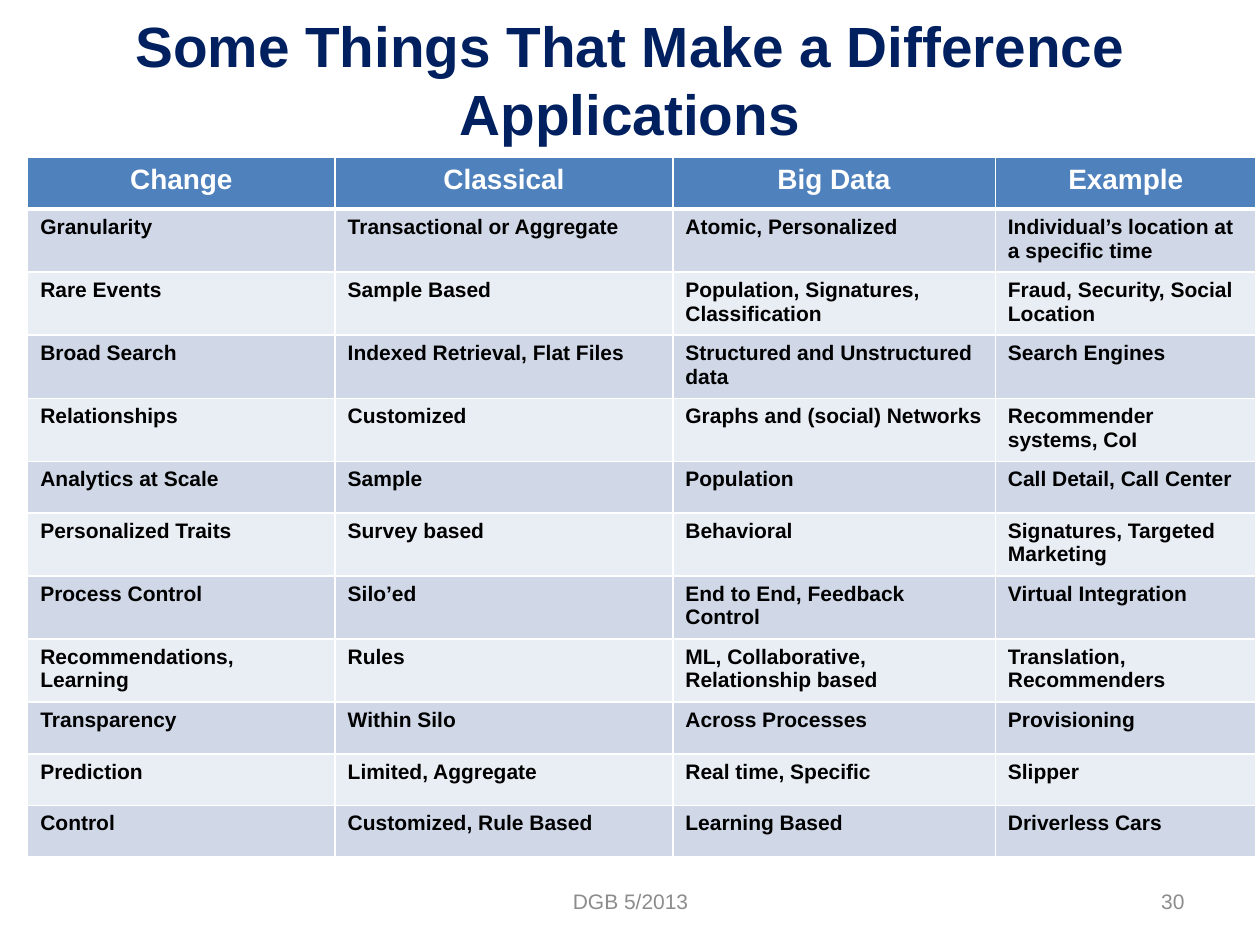
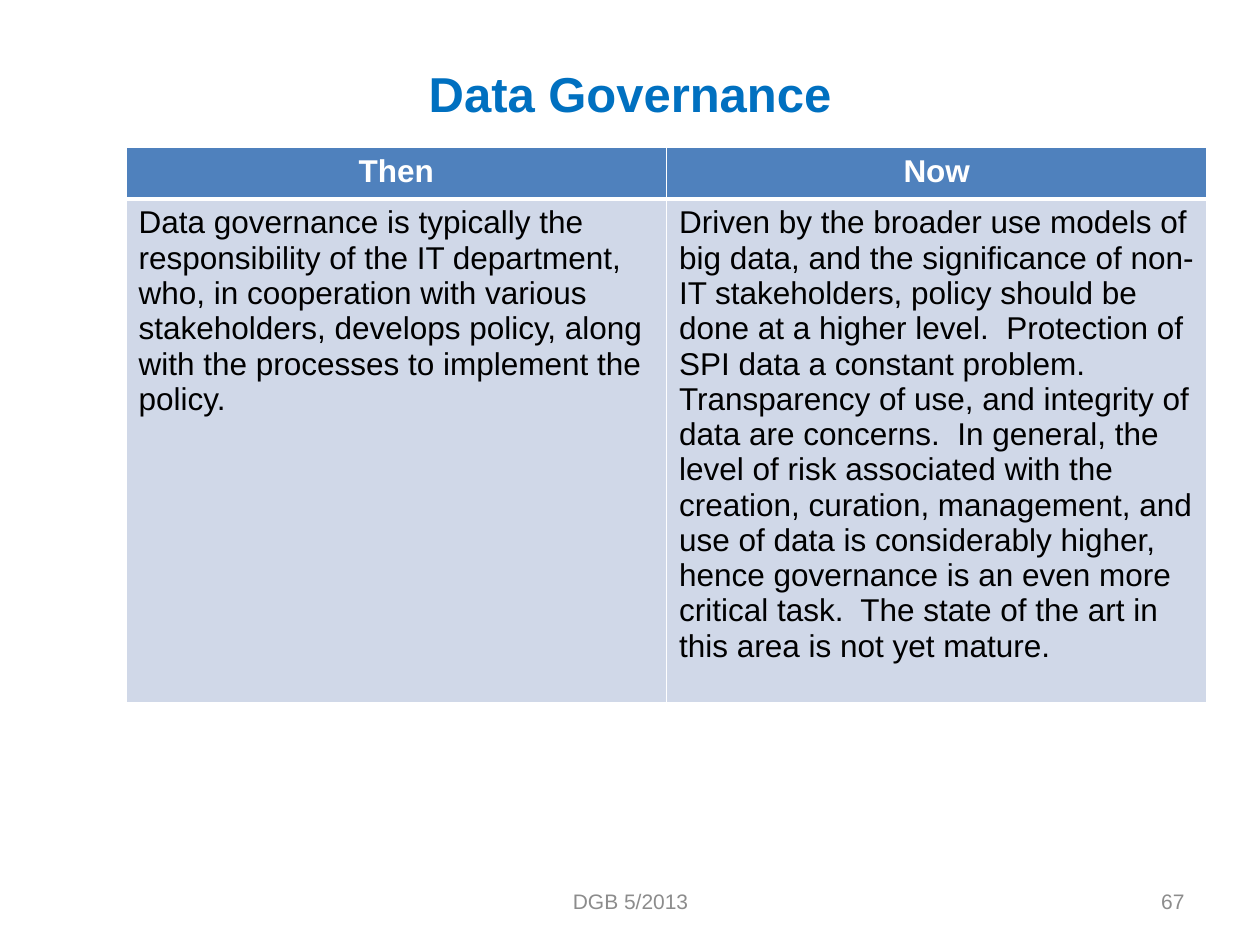
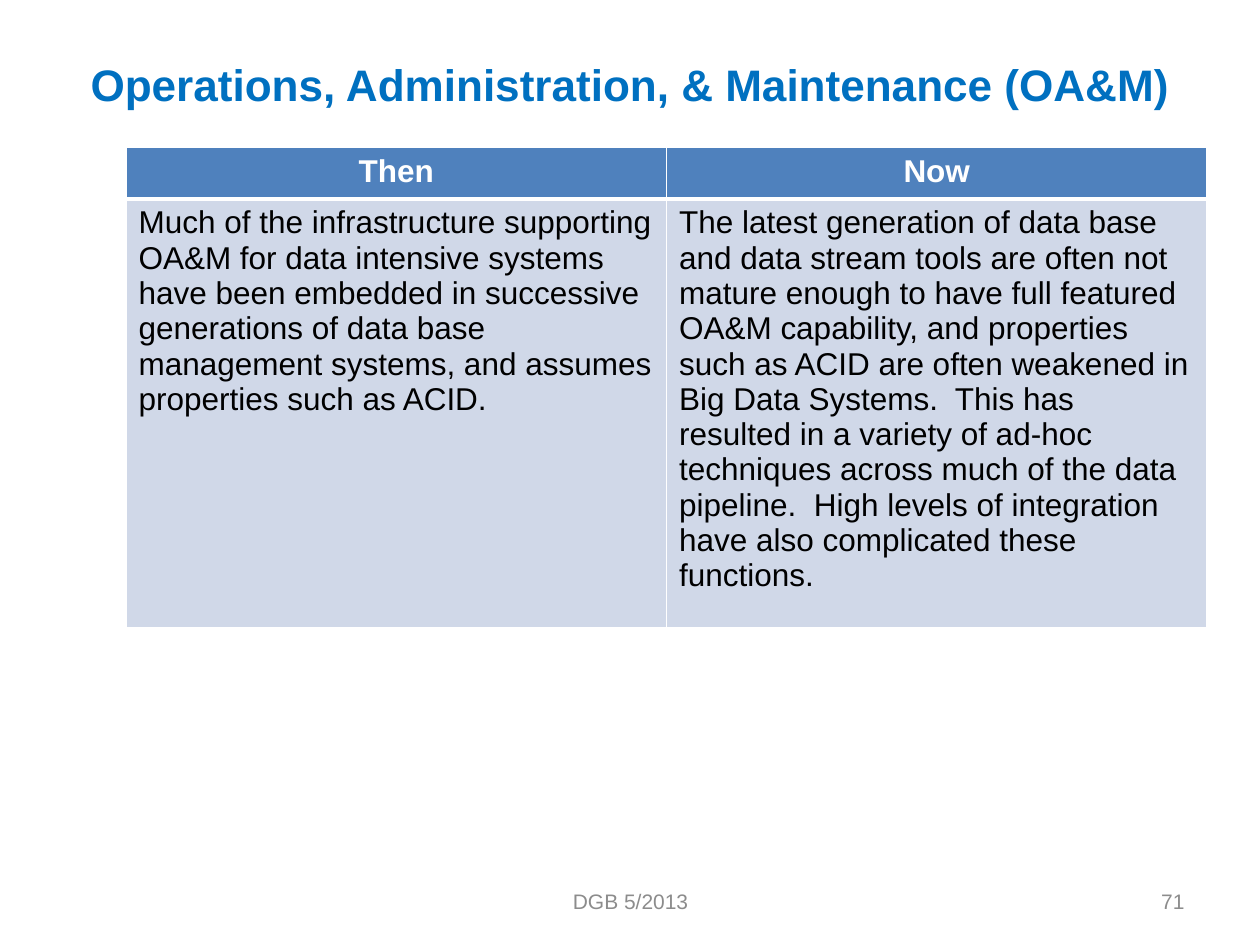
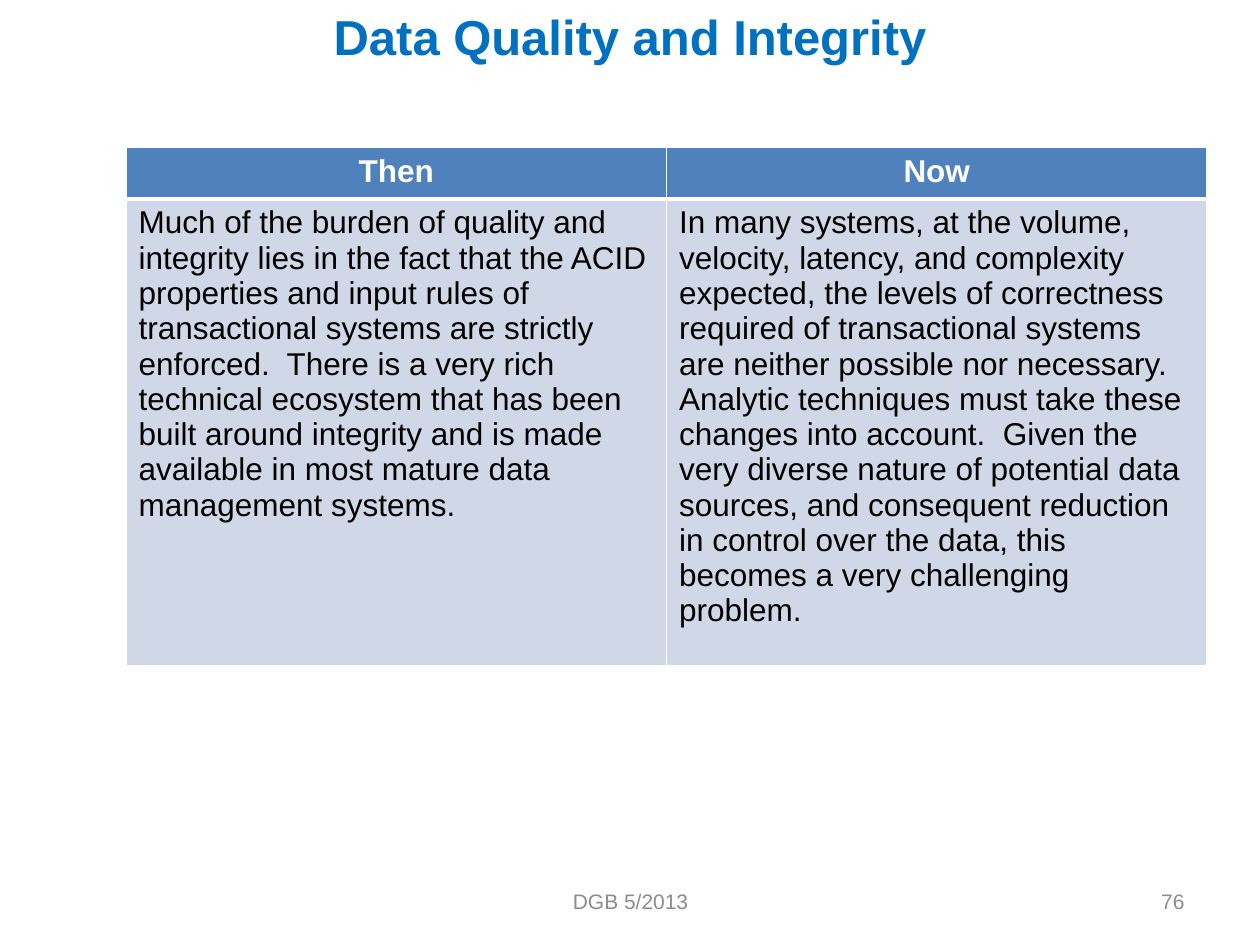
from lxml.etree import SubElement
from pptx import Presentation
from pptx.dml.color import RGBColor
from pptx.enum.text import MSO_ANCHOR, MSO_AUTO_SIZE, PP_ALIGN
from pptx.oxml.ns import qn
from pptx.util import Inches, Pt

FONT = "Arial"
COLORS = {
    "navy": "002060",
    "blue": "0070C0",
    "header": "4F81BD",
    "band_dark": "D0D8E8",
    "band_light": "E9EDF4",
    "white": "FFFFFF",
    "black": "000000",
    "footer": "8C8C8C",
}
FOOTER = "DGB 5/2013"

APPLICATIONS = [
    ("Change", "Classical", "Big Data", "Example"),
    ("Granularity", "Transactional or Aggregate", "Atomic, Personalized",
     "Individual’s location at a specific time"),
    ("Rare Events", "Sample Based", "Population, Signatures, Classification",
     "Fraud, Security, Social Location"),
    ("Broad Search", "Indexed Retrieval, Flat Files", "Structured and Unstructured data",
     "Search Engines"),
    ("Relationships", "Customized", "Graphs and (social) Networks",
     "Recommender systems, CoI"),
    ("Analytics at Scale", "Sample", "Population", "Call Detail, Call Center"),
    ("Personalized Traits", "Survey based", "Behavioral", "Signatures, Targeted Marketing"),
    ("Process Control", "Silo’ed", "End to End, Feedback Control", "Virtual Integration"),
    ("Recommendations, Learning", "Rules", "ML, Collaborative, Relationship based",
     "Translation, Recommenders"),
    ("Transparency", "Within Silo", "Across Processes", "Provisioning"),
    ("Prediction", "Limited, Aggregate", "Real time, Specific", "Slipper"),
    ("Control", "Customized, Rule Based", "Learning Based", "Driverless Cars"),
]

COMPARISONS = [
    {
        "title": "Data Governance", "size": 28, "lines_above": 1, "number": 67, "height": 4.41,
        "then": "Data governance is typically the responsibility of the IT department, who, in "
                "cooperation with various stakeholders, develops policy, along with the processes "
                "to implement the policy.",
        "now": "Driven by the broader use models of big data, and the significance of non-IT "
               "stakeholders, policy should be done at a higher level.  Protection of SPI data a "
               "constant problem.  Transparency of use, and integrity of data are concerns.  In "
               "general, the level of risk associated with the creation, curation, management, and "
               "use of data is considerably higher, hence governance is an even more critical "
               "task.  The state of the art in this area is not yet mature.",
    },
    {
        "title": "Operations, Administration, & Maintenance (OA&M)", "size": 25.2,
        "lines_above": 1, "number": 71, "height": 3.81,
        "then": "Much of the infrastructure supporting OA&M for data intensive systems have been "
                "embedded in successive generations of data base management systems, and assumes "
                "properties such as ACID.",
        "now": "The latest generation of data base and data stream tools are often not mature "
               "enough to have full featured OA&M capability, and properties such as ACID are often "
               "weakened in Big Data Systems.  This has resulted in a variety of ad-hoc techniques "
               "across much of the data pipeline.  High levels of integration have also complicated "
               "these functions.",
    },
    {
        "title": "Data Quality and Integrity", "size": 28, "lines_above": 0, "number": 76,
        "height": 4.11,
        "then": "Much of the burden of quality and integrity lies in the fact that the ACID "
                "properties and input rules of transactional systems are strictly enforced.  There "
                "is a very rich technical ecosystem that has been built around integrity and is "
                "made available in most mature data management systems.",
        "now": "In many systems, at the volume, velocity, latency, and complexity expected, the "
               "levels of correctness required of transactional systems are neither possible nor "
               "necessary.  Analytic techniques must take these changes into account.  Given the "
               "very diverse nature of potential data sources, and consequent reduction in control "
               "over the data, this becomes a very challenging problem.",
    },
]

ROW_HEIGHT = 0.41
LINE_HEIGHT = 1.17


def color(name):
    return RGBColor.from_string(COLORS[name])


def write(tf, text, size, color_name, bold=False, align=PP_ALIGN.LEFT):
    tf.text = text
    tf.word_wrap = True
    for p in tf.paragraphs:
        p.alignment = align
        for r in p.runs:
            r.font.name = FONT
            r.font.size = Pt(size)
            r.font.bold = bold
            r.font.color.rgb = color(color_name)


def add_label(s, left, width, text, align):
    tf = s.shapes.add_textbox(Inches(left), Inches(6.95), Inches(width), Inches(0.4)).text_frame
    write(tf, text, 12, "footer", align=align)
    tf.vertical_anchor = MSO_ANCHOR.MIDDLE


def add_slide(prs, title, size, color_name, number, anchor, lines_above=0):
    s = prs.slides.add_slide(prs.slide_layouts[5])
    sp = s.shapes.title
    sp.left, sp.top, sp.width, sp.height = Inches(0.5), 0, Inches(9), Inches(1.25)
    tf = sp.text_frame
    write(tf, title, size, color_name, True, PP_ALIGN.CENTER)
    tf.auto_size = MSO_AUTO_SIZE.NONE
    tf.vertical_anchor = anchor
    tf.margin_top = Inches(0.05) + Pt(lines_above * size * LINE_HEIGHT)
    add_label(s, 3.42, 3.17, FOOTER, PP_ALIGN.CENTER)
    add_label(s, 7.17, 2.33, str(number), PP_ALIGN.RIGHT)
    return s


def set_borders(cell, **widths):
    tcPr = cell._tc.get_or_add_tcPr()
    for side in "LRTB":
        ln = SubElement(tcPr, qn(f"a:ln{side}"), w=str(Pt(widths.get(side, 1))))
        fill = SubElement(ln, qn("a:solidFill"))
        SubElement(fill, qn("a:srgbClr"), val=COLORS["white"])


def add_grid(s, left, top, col_widths, row_heights, rows, header_size, body_size, body_bold):
    frame = s.shapes.add_table(len(rows), len(col_widths), Inches(left), Inches(top),
                               Inches(sum(col_widths)), Inches(sum(row_heights)))
    table = frame.table
    for column, width in zip(table.columns, col_widths):
        column.width = Inches(width)
    for i, (row, height) in enumerate(zip(rows, row_heights)):
        table.rows[i].height = Inches(height)
        for j, text in enumerate(row):
            cell = table.cell(i, j)
            if i == 0:
                write(cell.text_frame, text, header_size, "white", True, PP_ALIGN.CENTER)
                set_borders(cell, B=3)
                fill = "header"
            else:
                write(cell.text_frame, text, body_size, "black", body_bold)
                set_borders(cell, T=3 if i == 1 else 1)
                fill = "band_dark" if i % 2 else "band_light"
            cell.fill.solid()
            cell.fill.fore_color.rgb = color(fill)


def main():
    prs = Presentation()
    prs.slide_width, prs.slide_height = Inches(10), Inches(7.5)

    s = add_slide(prs, "Some Things That Make a Difference\vApplications", 32.4, "navy", 30,
                  MSO_ANCHOR.MIDDLE)
    add_grid(s, 0.22, 1.25, [2.44, 2.68, 2.56, 2.07], [ROW_HEIGHT] * len(APPLICATIONS),
             APPLICATIONS, 16, 12, True)

    for c in COMPARISONS:
        s = add_slide(prs, c["title"], c["size"], "blue", c["number"], MSO_ANCHOR.TOP,
                      c["lines_above"])
        add_grid(s, 1, 1.17, [4.29, 4.29], [ROW_HEIGHT, c["height"] - ROW_HEIGHT],
                 [("Then", "Now"), (c["then"], c["now"])], 18, 18, False)

    prs.save("out.pptx")


if __name__ == "__main__":
    main()
